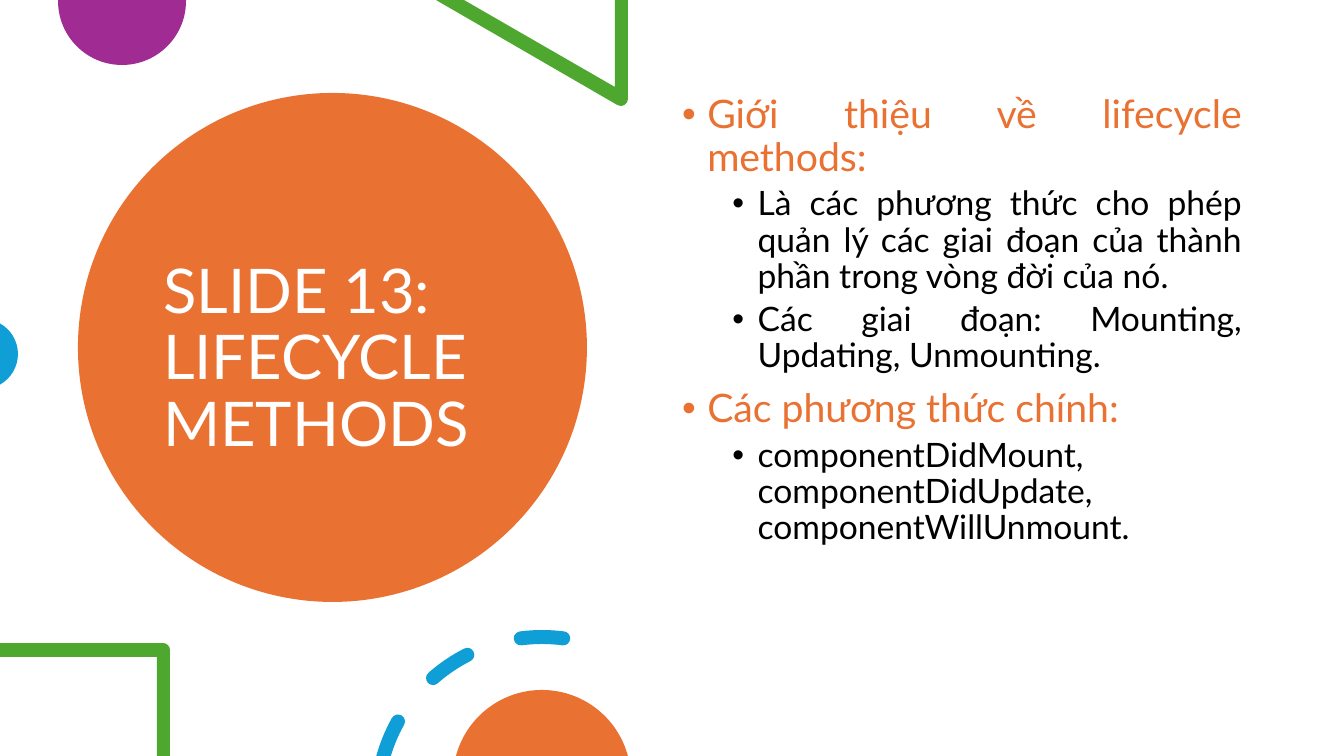
import math

from lxml import etree
from pptx import Presentation
from pptx import util as u
from pptx.dml.color import RGBColor
from pptx.enum import shapes, text
from pptx.oxml.ns import qn

PX = 914400 / 100.8  # EMU in one px
W, H = 1344, 756
THEME = {
    "font": "Lato",
    "orange": "E97132", "purple": "A02B93", "green": "4EA72E", "blue": "0F9ED5",
    "white": "FFFFFF", "black": "000000",
    "title": 44, "topic": 28, "detail": 24,
}


def arc(cx, cy, r, start, end):
    """Start point, then Bezier curves, in degrees clockwise from the top."""
    count = math.ceil(abs(end - start) / 90)
    step = math.radians(end - start) / count
    k = 4 / 3 * math.tan(step / 4)
    steps = [[(cx + r * math.sin(math.radians(start)), cy - r * math.cos(math.radians(start)))]]
    for i in range(count):
        a = math.radians(start) + i * step
        b = a + step
        steps.append([
            (cx + r * (math.sin(a) + k * math.cos(a)), cy - r * (math.cos(a) - k * math.sin(a))),
            (cx + r * (math.sin(b) - k * math.cos(b)), cy - r * (math.cos(b) + k * math.sin(b))),
            (cx + r * math.sin(b), cy - r * math.cos(b)),
        ])
    return steps


def paint(sp, color):
    sp.shadow.inherit = False
    sp.fill.solid()
    sp.fill.fore_color.rgb = RGBColor.from_string(THEME[color])
    sp.line.fill.background()


prs = Presentation()
prs.slide_width, prs.slide_height = round(W * PX), round(H * PX)
s = prs.slides.add_slide(prs.slide_layouts[1])
title, body = s.shapes.title, s.placeholders[1]

# Large circle behind the title
circle = s.shapes.add_shape(shapes.MSO_SHAPE.OVAL, *[round(v * PX) for v in (78, 93, 509, 509)])
paint(circle, "orange")
title._element.addprevious(circle._element)

# Title and body frames
for sp, box, anchor in (
    (title, (153, 136, 357, 448), text.MSO_ANCHOR.MIDDLE),
    (body, (672, 90, 580, 539), text.MSO_ANCHOR.TOP),
):
    sp.left, sp.top, sp.width, sp.height = [round(v * PX) for v in box]
    tf = sp.text_frame
    tf.word_wrap = True
    tf.auto_size = text.MSO_AUTO_SIZE.NONE
    tf.vertical_anchor = anchor

# Title text and bulleted list: level (None for the title), wording
lines = [
    (None, "SLIDE 13: LIFECYCLE METHODS"),
    (0, "Giới thiệu về lifecycle methods:"),
    (1, "Là các phương thức cho phép quản lý các giai đoạn của thành phần "
        "trong vòng đời của nó."),
    (1, "Các giai đoạn: Mounting, Updating, Unmounting."),
    (0, "Các phương thức chính:"),
    (1, "componentDidMount, componentDidUpdate, componentWillUnmount."),
]
styles = {None: ("title", "white"), 0: ("topic", "orange"), 1: ("detail", "black")}
for i, (level, wording) in enumerate(lines):
    tf = (title if level is None else body).text_frame
    p = tf.paragraphs[0] if i < 2 else tf.add_paragraph()
    p.line_spacing = 0.9
    p.space_before = u.Pt(0 if i < 2 else 10 - 5 * level)
    p.alignment = text.PP_ALIGN.LEFT if level is None else text.PP_ALIGN.JUSTIFY
    if level is not None:
        p.level = level
        pPr = p._p.get_or_add_pPr()
        pPr.set("marL", str(u.Inches(0.25 + 0.5 * level)))
        pPr.set("indent", str(u.Inches(-0.25)))
        etree.SubElement(pPr, qn("a:buFont")).set("typeface", "Arial")
        etree.SubElement(pPr, qn("a:buChar")).set("char", "•")
    r = p.add_run()
    r.text = wording
    size, color = styles[level]
    r.font.name = THEME["font"]
    r.font.size = u.Pt(THEME[size])
    r.font.color.rgb = RGBColor.from_string(THEME[color])

# Dashed ring: outer start, inner start, end; a dash cut by the slide edge has no first cap
ring_x, ring_y, ring_r, half = 542, 802, 165, 7
dashes = []
for outer, inner, end in ((-74.5, -73.1, -60.8), (-41.3, -41.3, -26.9), (-7.4, -7.4, 7.4)):
    tail, tip = [
        (ring_x + ring_r * math.sin(math.radians(a)), ring_y - ring_r * math.cos(math.radians(a)))
        for a in (outer, end)
    ]
    dash = arc(ring_x, ring_y, ring_r + half, outer, end)
    dash += arc(*tip, half, end, end + 180)[1:]
    dash += arc(ring_x, ring_y, ring_r - half, end, inner)[1:]
    if outer == inner:
        dash += arc(*tail, half, outer + 180, outer + 360)[1:]
    dashes.append(dash)

# Decorations cut off by the slide edges: colour, contours of one-point lines and curves
triangle = [[(628, 0)], [(615, 0)], [(615, 87)], [(464, 0)], [(436, 0)]]
square = [[(0, 643)], [(0, 657)], [(157, 657)], [(157, H)], [(170, H)]]
decorations = [
    ("purple", [arc(122, 1, 64, 90, 270) + [[(58, 0)], [(186, 0)]]]),
    ("green", [triangle + arc(621, 99, 7, 210, 90)]),
    ("blue", [arc(-17, 354, 35, 29, 151)]),
    ("green", [square + arc(163, 650, 7, 90, 0)]),
    ("blue", dashes),
    ("orange", [arc(542, 779, 89, -75, 75)]),
]
for color, contours in decorations:
    builder = None
    for contour in contours:
        start, *rest = [(x * PX, y * PX) for step in contour for x, y in step]
        if builder is None:
            builder = s.shapes.build_freeform(*start)
        else:
            builder.move_to(*start)
        builder.add_line_segments(rest, close=True)
    sp = builder.convert_to_shape()
    paint(sp, color)

    # Join each three points of a curve into one Bezier segment
    outline = sp._element.find(".//" + qn("a:path"))
    segments = iter(outline.findall(qn("a:lnTo")))
    for step in [step for contour in contours for step in contour[1:]]:
        group = [next(segments) for _ in step]
        if len(group) == 3:
            curve = etree.Element(qn("a:cubicBezTo"))
            group[0].addprevious(curve)
            for segment in group:
                curve.append(segment[0])
                outline.remove(segment)

prs.save("out.pptx")
